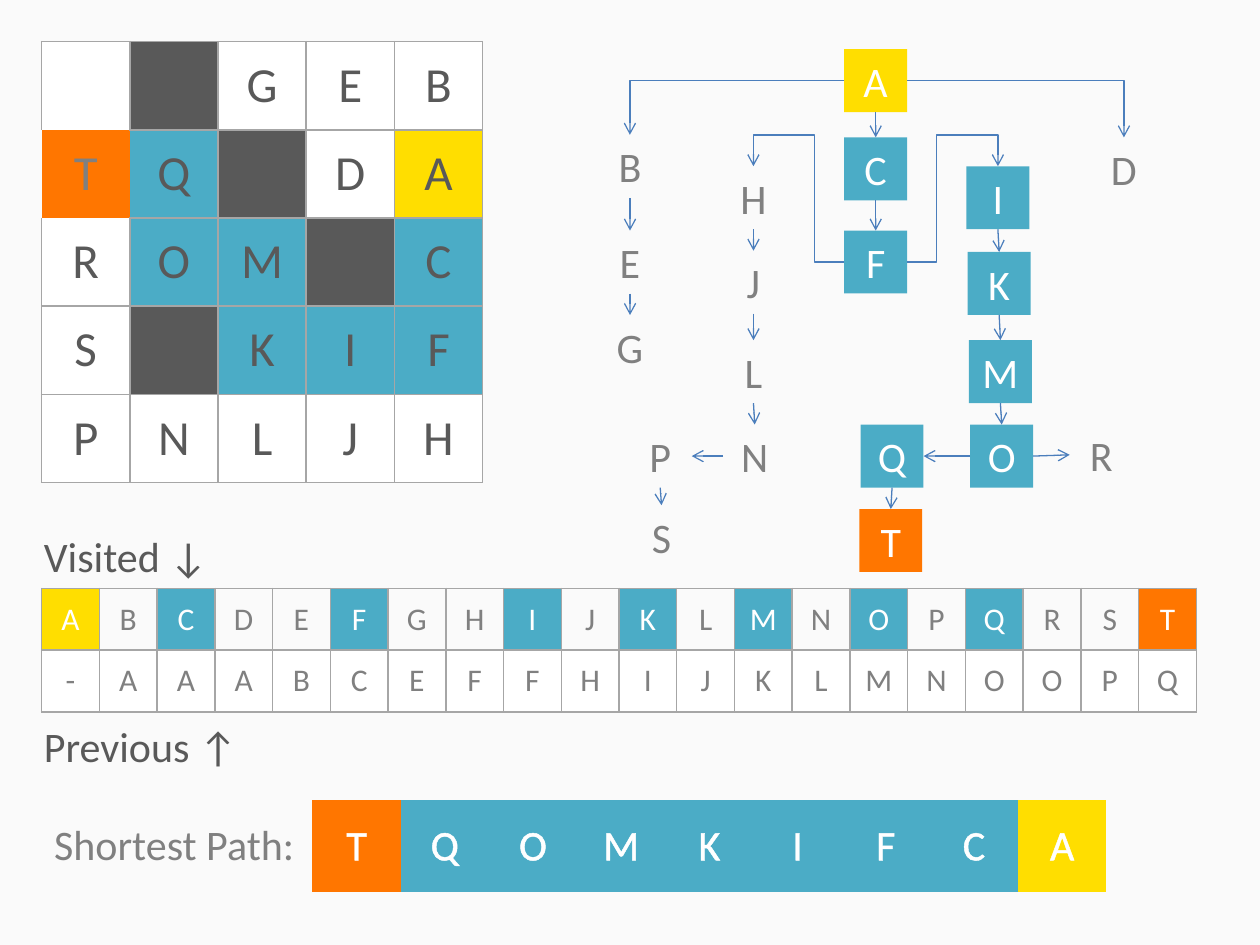
from lxml import etree
from pptx import Presentation
from pptx.dml.color import RGBColor
from pptx.enum import shapes, text
from pptx.oxml import ns
from pptx.util import Inches, Pt

WHITE, DARK, GRAY, RULE = "FFFFFF", "595959", "808080", "A6A6A6"
TEAL, GOLD, ORANGE, BLUE = "4BACC6", "FFDE00", "FF7600", "4B7EBC"
PLAIN = "{2D5ABB26-0587-4C30-8999-92F81FD0307C}"


def rgb(code):
    """Turn a hex string into a colour."""
    return RGBColor.from_string(code)


def write(frame, words, size, ink, align=text.PP_ALIGN.CENTER):
    """Put one formatted run into a text frame and return it."""
    para = frame.paragraphs[0]
    para.alignment = align
    run = para.add_run()
    run.text = words
    run.font.name = "Calibri"
    run.font.size = Pt(size)
    run.font.color.rgb = rgb(ink)
    return run


deck = Presentation()
deck.slide_width, deck.slide_height = Inches(10), Inches(7.5)
slide = deck.slides.add_slide(deck.slide_layouts[6])
slide.background.fill.solid()
slide.background.fill.fore_color.rgb = rgb("FAFAFA")

# Colours of the letters on the shortest path
route = "TQOMKIFCA"
hues = dict.fromkeys(route, TEAL) | {"A": GOLD, "T": ORANGE}

# Each cell is (text, fill, ink)
maze = [" #GEB", "TQ#DA", "ROM#C", "S#KIF", "PNLJH"]
grid = [[("" if c in " #" else c,
          DARK if c == "#" else hues.get(c, WHITE),
          GRAY if c == "T" else DARK) for c in row] for row in maze]
seen = [[(c, hues.get(c), WHITE if c in hues else GRAY)
         for c in "ABCDEFGHIJKLMNOPQRST"],
        [(c, WHITE, GRAY) for c in "-AAABCEFFHIJKLMNOOPQ"]]
trail = [[("Shortest Path: ", None, GRAY)]
         + [(c, hues[c], WHITE) for c in route] + [("", None, GRAY)]]

# The start cell of the maze has no border on any side
open_sides = {(0, 0): "LTR", (1, 0): "", (1, 1): "TRB", (2, 0): "LRB"}

# rows, top, column widths, row height, text size, sides, exceptions
tables = [
    (grid, 0.33, [0.7] * 5, 0.7, 28, "LRTB", open_sides),
    (seen, 4.67, [9.17 / 20] * 20, 0.49, 18, "LRTB", {}),
    (trail, 6.35, [2.15] + [0.7] * 10, 0.73, 24, "", {}),
]
for rows, top, wides, high, size, sides, gaps in tables:
    table = slide.shapes.add_table(
        len(rows), len(wides), Inches(0.33), Inches(top),
        Inches(sum(wides)), Inches(high * len(rows))).table
    table.first_row = table.horz_banding = False
    table._tbl.tblPr.find(ns.qn("a:tableStyleId")).text = PLAIN
    for col, wide in zip(table.columns, wides):
        col.width = Inches(wide)
    for r, row in enumerate(rows):
        table.rows[r].height = Inches(high)
        for c, (words, fill, ink) in enumerate(row):
            cell = table.cell(r, c)
            cell.vertical_anchor = text.MSO_ANCHOR.MIDDLE
            props = cell._tc.get_or_add_tcPr()
            edges = gaps.get((r, c), sides)
            for side in "LRTB":
                if side in edges:
                    edge = etree.SubElement(props, ns.qn("a:ln" + side), w="12700")
                    paint = etree.SubElement(edge, ns.qn("a:solidFill"))
                    etree.SubElement(paint, ns.qn("a:srgbClr"), val=RULE)
            if fill:
                cell.fill.solid()
                cell.fill.fore_color.rgb = rgb(fill)
            else:
                cell.fill.background()
            if not words:
                continue
            lead = rows is trail and c == 0
            align = text.PP_ALIGN.LEFT if lead else text.PP_ALIGN.CENTER
            run = write(cell.text_frame, words, size, ink, align)
            if rows is trail and not lead:
                rim = etree.Element(ns.qn("a:ln"), w="9525")
                paint = etree.SubElement(rim, ns.qn("a:solidFill"))
                etree.SubElement(paint, ns.qn("a:srgbClr"), val=WHITE)
                run._r.get_or_add_rPr().insert(0, rim)

for words, top in [("Visited ↓", 4.16), ("Previous ↑", 5.67)]:
    label = slide.shapes.add_textbox(
        Inches(0.25), Inches(top), Inches(2.24), Inches(0.5))
    label.text_frame.word_wrap = True
    write(label.text_frame, words, 24, DARK, text.PP_ALIGN.LEFT)

# Search tree: left and top of each node
places = {
    "A": (6.7, 0.39), "B": (4.75, 1.07), "C": (6.7, 1.09), "D": (8.67, 1.09),
    "E": (4.75, 1.83), "F": (6.7, 1.83), "G": (4.75, 2.5), "H": (5.73, 1.32),
    "I": (7.67, 1.32), "J": (5.73, 1.99), "K": (7.68, 2), "L": (5.73, 2.7),
    "M": (7.69, 2.7), "N": (5.74, 3.37), "O": (7.7, 3.37), "P": (4.99, 3.37),
    "Q": (6.83, 3.37), "R": (8.49, 3.36), "S": (5, 4.01), "T": (6.82, 4.04),
}
nodes = {}
for name, (left, top) in places.items():
    box = Inches(left), Inches(top), Inches(0.5), Inches(0.5)
    if name in hues:
        node = slide.shapes.add_shape(shapes.MSO_SHAPE.RECTANGLE, *box)
        node.shadow.inherit = False
        node.fill.solid()
        node.fill.fore_color.rgb = rgb(hues[name])
        node.line.fill.background()
    else:
        node = slide.shapes.add_textbox(*box)
    node.text_frame.word_wrap = True
    node.text_frame.vertical_anchor = text.MSO_ANCHOR.TOP
    write(node.text_frame, name, 24, WHITE if name in hues else GRAY)
    nodes[name] = node

# Connection sites of a box, and the arrows grouped by the sites they join
TOP, LEFT, BOTTOM, RIGHT = range(4)
two, four = "bentConnector2", "bentConnector4"
groups = [
    ("AC BE CF EG HJ IK JL KM LN MO PS QT", BOTTOM, TOP, None),
    ("NP OQ", LEFT, RIGHT, None),
    ("OR", RIGHT, LEFT, None),
    ("AB", LEFT, TOP, two),
    ("AD", RIGHT, TOP, two),
    ("FH", LEFT, TOP, four),
    ("FI", RIGHT, TOP, four),
]
for pairs, start, end, bend in groups:
    for source, goal in pairs.split():
        kind = shapes.MSO_CONNECTOR.ELBOW if bend else shapes.MSO_CONNECTOR.STRAIGHT
        arrow = slide.shapes.add_connector(kind, 0, 0, 0, 0)
        arrow.begin_connect(nodes[source], start)
        arrow.end_connect(nodes[goal], end)
        arrow.line.color.rgb = rgb(BLUE)
        arrow.line.width = Pt(0.75)
        props = arrow._element.spPr
        etree.SubElement(arrow.line._get_or_add_ln(), ns.qn("a:tailEnd"), type="arrow")
        etree.SubElement(props, ns.qn("a:effectLst"))
        if bend:
            shape = props.find(ns.qn("a:prstGeom"))
            shape.set("prst", bend)
        if bend == four:
            guides = shape.find(ns.qn("a:avLst"))
            for label, value in [("adj1", 32500), ("adj2", 132700)]:
                etree.SubElement(guides, ns.qn("a:gd"), name=label, fmla=f"val {value}")

deck.save("out.pptx")
